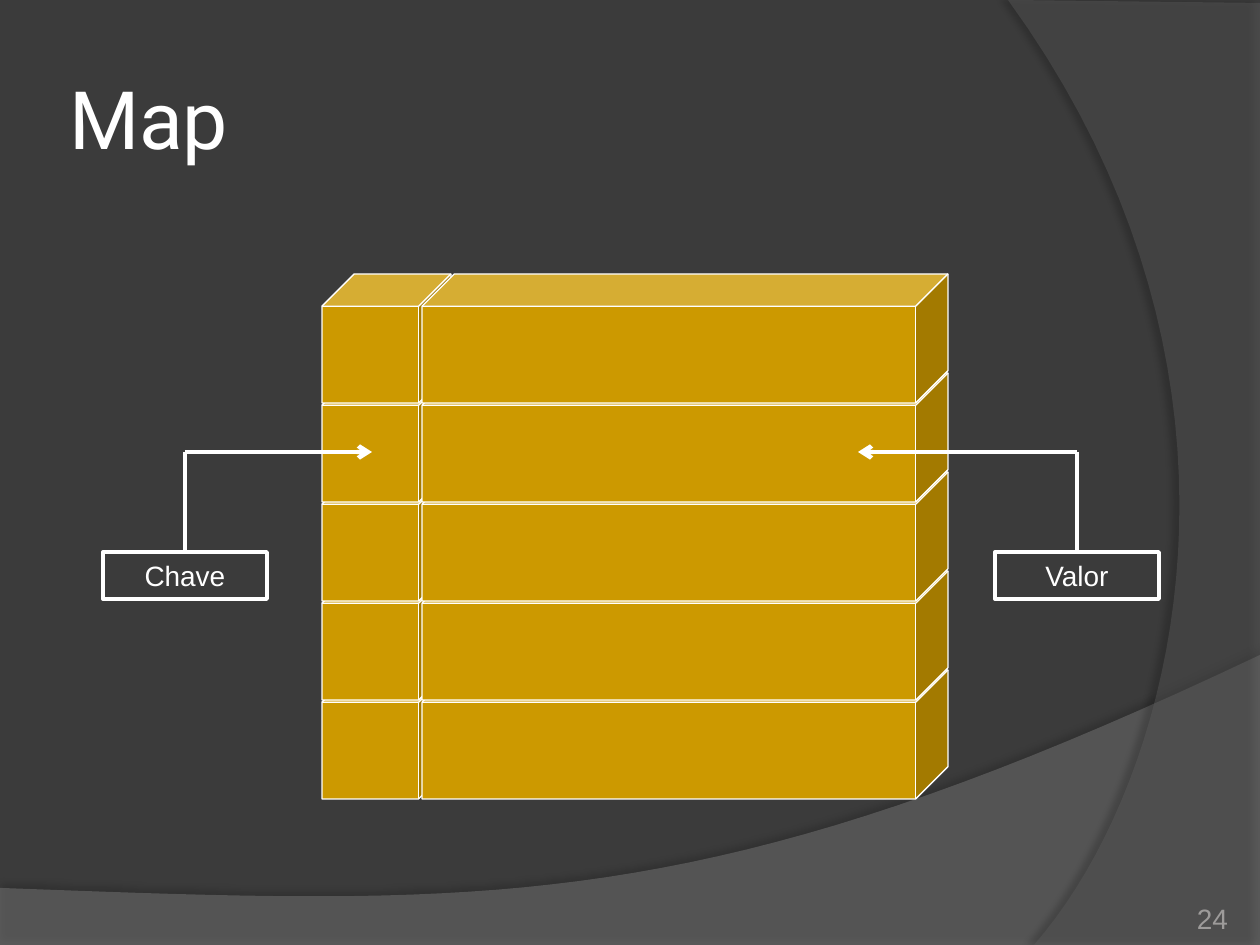
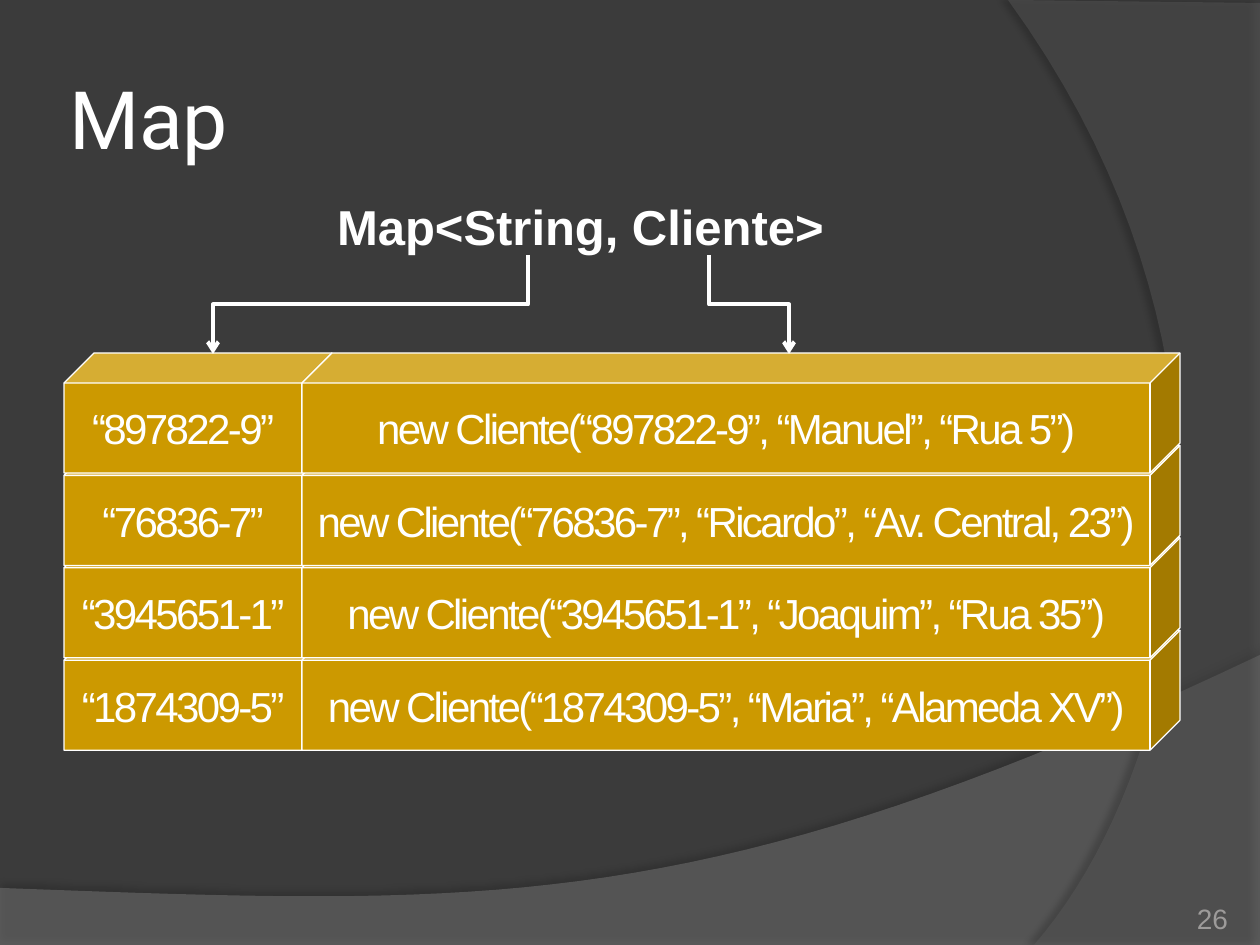
from lxml import etree
from pptx import Presentation
from pptx import util as u
from pptx.dml.color import RGBColor
from pptx.enum import shapes, text
from pptx.oxml.ns import qn

PX = 914400 / 126  # EMU in one px
SLIDE_WIDTH, SLIDE_HEIGHT = 1260, 945

BACKGROUND = "3B3B3B"
WHITE = "FFFFFF"
GOLD = "CC9900"
NUMBER_GREY = "9D9B9A"
TITLE_FONT, BODY_FONT = "Roboto", "Arial"
TITLE_BOX = (63, 38, 1113, 158)
NUMBER_BOX = (1124, 885, 104, 50)


def px(*lengths):
    return [u.Emu(round(length * PX)) for length in lengths]


def color(hex_string):
    return RGBColor.from_string(hex_string)


def write_text(shape, content, size=16, font=BODY_FONT, fill=WHITE, bold=False,
               align="CENTER", anchor="MIDDLE", insets=(13, 6), wrap=True,
               grow=False, spacing=0):
    frame = shape.text_frame
    frame.word_wrap = wrap
    frame.auto_size = getattr(text.MSO_AUTO_SIZE, "SHAPE_TO_FIT_TEXT" if grow else "NONE")
    frame.vertical_anchor = getattr(text.MSO_ANCHOR, anchor)
    frame.margin_left, frame.margin_top = px(*insets)
    frame.margin_right, frame.margin_bottom = px(*insets)
    paragraph = frame.paragraphs[0]
    paragraph.alignment = getattr(text.PP_ALIGN, align)
    run = paragraph.add_run()
    run.text = content
    run.font.size = u.Pt(size)
    run.font.name = font
    run.font.bold = bold
    run.font.color.rgb = color(fill)
    if spacing:
        run.font._element.set("spc", str(round(spacing * 100)))


def add_box(slide, kind, box, fill=None, line_width=0.75):
    shape = slide.shapes.add_shape(kind, *px(*box))
    shape.shadow.inherit = False
    if fill:
        shape.fill.solid()
        shape.fill.fore_color.rgb = color(fill)
    else:
        shape.fill.background()
    shape.line.color.rgb = color(WHITE)
    shape.line.width = u.Pt(line_width)
    return shape


def add_line(slide, start, end, width=2.5, arrow=False, kind="STRAIGHT"):
    connector = slide.shapes.add_connector(
        getattr(shapes.MSO_CONNECTOR, kind), *px(*start, *end))
    connector.line.color.rgb = color(WHITE)
    connector.line.width = u.Pt(width)
    properties = connector.element.spPr
    if arrow:
        etree.SubElement(properties.find(qn("a:ln")), qn("a:tailEnd"), type="arrow")
    etree.SubElement(properties, qn("a:effectLst"))
    return connector


def add_down_elbow(slide, start, end):
    """Elbow that leaves and arrives vertically: a sideways one turned by 90 degrees."""
    (x1, y1), (x2, y2) = start, end
    middle_x, middle_y = (x1 + x2) / 2, (y1 + y2) / 2
    half_run, half_drop = (x2 - x1) / 2, (y2 - y1) / 2
    connector = add_line(slide, (middle_x - half_drop, middle_y + half_run),
                         (middle_x + half_drop, middle_y - half_run),
                         width=2.25, arrow=True, kind="ELBOW")
    connector.element.spPr.find(qn("a:xfrm")).set("rot", "5400000")


def curve(start, control1, control2, end, steps=40):
    """Points along a cubic curve, without its start."""
    points = []
    for step in range(1, steps + 1):
        t = step / steps
        weights = ((1 - t) ** 3, 3 * t * (1 - t) ** 2, 3 * t * t * (1 - t), t ** 3)
        points.append(tuple(
            sum(weight * value for weight, value in zip(weights, axis))
            for axis in zip(start, control1, control2, end)))
    return points


def add_swoosh(slide, layout, points, fill, opacity, shadow_opacity, distance, direction):
    """Translucent outline with a soft shadow, placed behind all else in the layout."""
    builder = slide.shapes.build_freeform(*px(*points[0]))
    builder.add_line_segments([px(*point) for point in points[1:]])
    shape = builder.convert_to_shape()
    shape.fill.solid()
    shape.fill.fore_color.rgb = color(fill)
    shape.line.fill.background()
    properties = shape.element.spPr
    set_opacity(properties.find(qn("a:solidFill"))[0], opacity)
    effects = etree.SubElement(properties, qn("a:effectLst"))
    shadow = etree.SubElement(
        effects, qn("a:outerShdw"), blurRad=str(u.Pt(4)), dist=str(u.Pt(distance)),
        dir=str(direction * 60000), algn="ctr", rotWithShape="0")
    set_opacity(etree.SubElement(shadow, qn("a:srgbClr"), val="000000"), shadow_opacity)
    layout.shapes.element.insert(2, shape.element)


def set_opacity(color_element, percent):
    etree.SubElement(color_element, qn("a:alpha"), val=str(percent * 1000))


def decorate_layout(slide, layout):
    bottom_start, bottom_end = (SLIDE_WIDTH, 655), (0, 888)
    bottom = [bottom_end, (0, SLIDE_HEIGHT), (SLIDE_WIDTH, SLIDE_HEIGHT), bottom_start]
    bottom += curve(bottom_start, (704, 919), (493, 906), bottom_end)
    right_start, right_end = (1034, SLIDE_HEIGHT), (1008, 0)
    right = [(SLIDE_WIDTH, 3), (SLIDE_WIDTH, SLIDE_HEIGHT), right_start]
    right += curve(right_start, (1178, 780), (1283, 378), right_end)
    right.append((SLIDE_WIDTH, 3))
    # Each one goes to the very back, so the bottom band comes last
    add_swoosh(slide, layout, right, "5E5E5E", 40, 45, 4, 180)
    add_swoosh(slide, layout, bottom, "7F7F7F", 45, 35, 3.5, 270)


def add_map_slide(presentation, layout, number):
    slide = presentation.slides.add_slide(layout)
    title = slide.shapes.title
    title.left, title.top, title.width, title.height = px(*TITLE_BOX)
    write_text(title, "Map", size=46, font=TITLE_FONT, align="LEFT", insets=(6, 6))
    number_box = slide.shapes.add_textbox(*px(*NUMBER_BOX))
    write_text(number_box, str(number), fill=NUMBER_GREY, align="RIGHT",
               anchor="BOTTOM", insets=(0, 0))
    return slide


def add_cube_stack(slide, rows, top, step, height, columns):
    """Rows of cubes, bottom row first so that upper rows hide the tops below."""
    for index, row in reversed(list(enumerate(rows))):
        for (left, width), content in zip(columns, row):
            cube = add_box(slide, shapes.MSO_SHAPE.CUBE,
                           (left, top + index * step, width, height), fill=GOLD)
            if content:
                write_text(cube, content, size=24, wrap=False, spacing=-1.5)


def add_callout(slide, content, left, arrow_tip):
    """Label with a stem going up and an arrow going sideways to the stack."""
    width = 164
    label = add_box(slide, shapes.MSO_SHAPE.RECTANGLE, (left, 552, width, 47),
                    line_width=2.25)
    write_text(label, content, grow=True)
    corner = (left + width // 2, 452)
    add_line(slide, corner, arrow_tip, arrow=True)
    stem = add_line(slide, (corner[0], 552), corner)
    stem.begin_connect(label, 0)


def main():
    presentation = Presentation()
    presentation.slide_width, presentation.slide_height = px(SLIDE_WIDTH, SLIDE_HEIGHT)
    background = presentation.slide_master.background.fill
    background.solid()
    background.fore_color.rgb = color(BACKGROUND)
    title_only = presentation.slide_layouts[5]

    # Keys and values
    slide = add_map_slide(presentation, title_only, 24)
    decorate_layout(slide, title_only)
    add_cube_stack(slide, [("", "")] * 5, top=274, step=99, height=129,
                   columns=[(322, 129), (422, 526)])
    add_callout(slide, "Chave", 103, (372, 452))
    add_callout(slide, "Valor", 995, (858, 452))

    # Map of clients by number
    slide = add_map_slide(presentation, title_only, 26)
    clients = [("897822-9", "Manuel", "Rua 5"),
               ("76836-7", "Ricardo", "Av. Central, 23"),
               ("3945651-1", "Joaquim", "Rua 35"),
               ("1874309-5", "Maria", "Alameda XV")]
    rows = [(f"“{key}”", f"new Cliente(“{key}”, “{name}”, “{address}”)")
            for key, name, address in clients]
    add_cube_stack(slide, rows, top=353, step=92.4, height=120,
                   columns=[(64, 268), (302, 878)])
    declaration = slide.shapes.add_textbox(*px(253, 186, 655, 79))
    write_text(declaration, "Map<String, Cliente>", size=28, bold=True)
    add_down_elbow(slide, (709, 255), (789, 354))
    add_down_elbow(slide, (528, 255), (213, 354))

    presentation.save("out.pptx")


if __name__ == "__main__":
    main()
